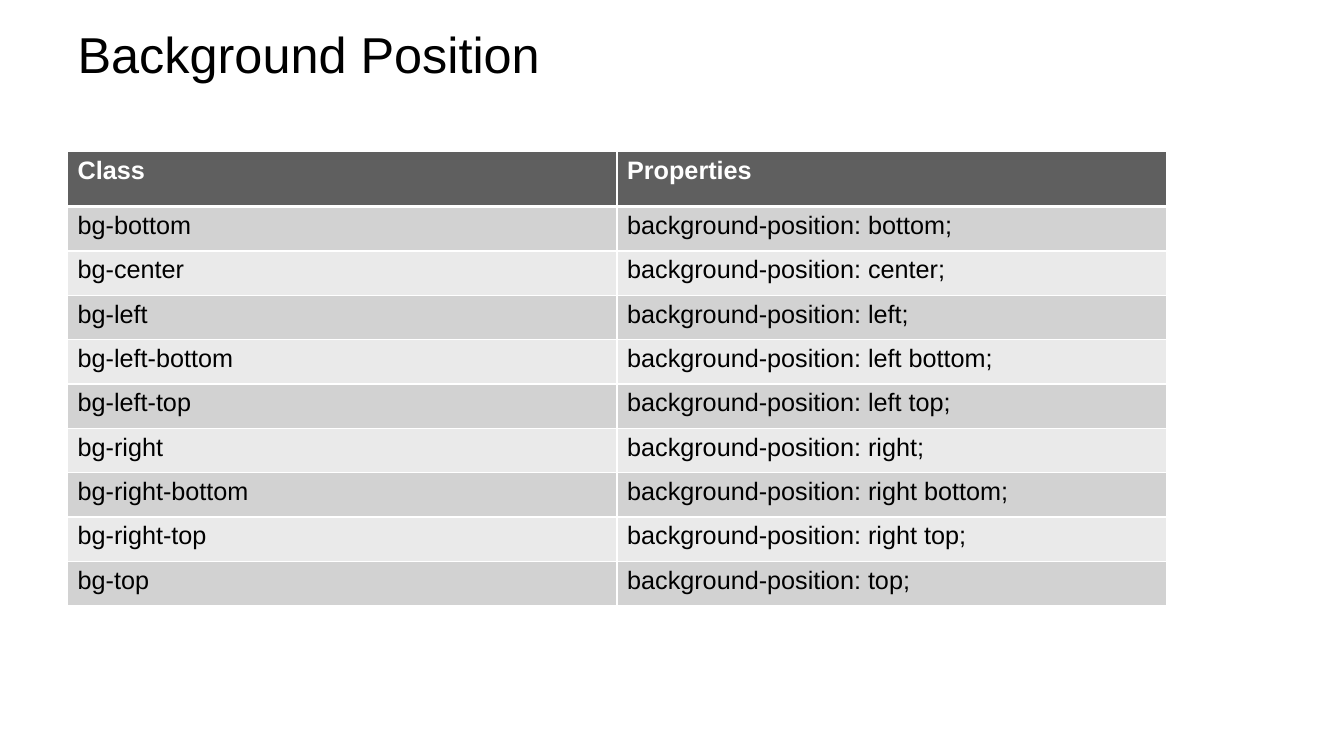
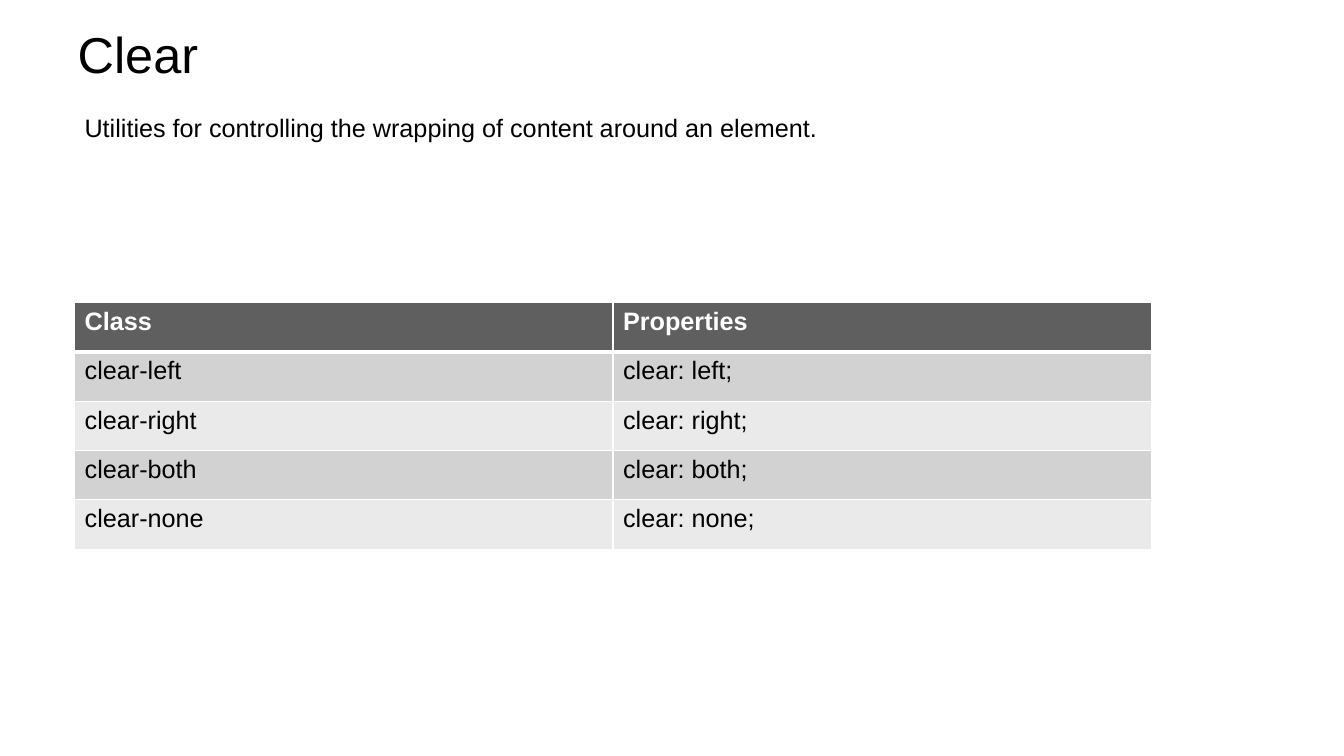
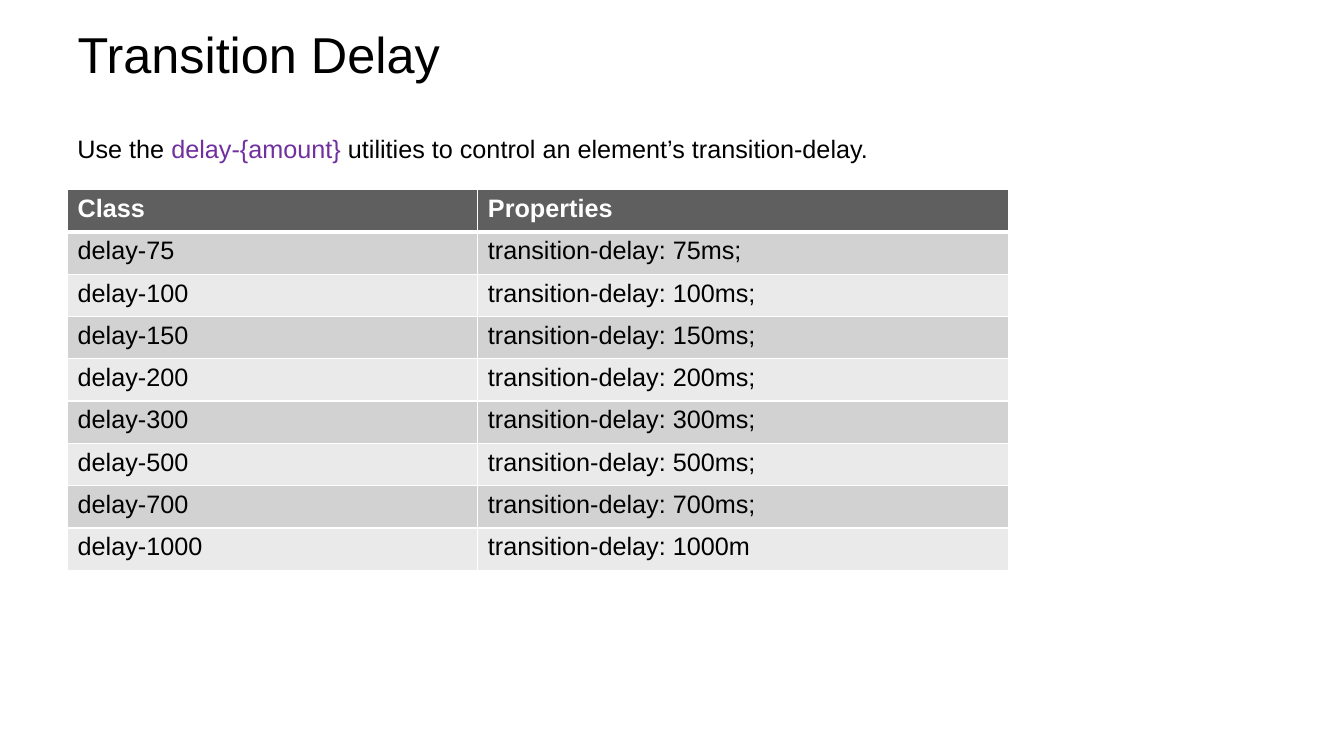
from lxml.etree import SubElement
from pptx import Presentation
from pptx.dml.color import RGBColor
from pptx.enum.text import MSO_ANCHOR, PP_ALIGN
from pptx.oxml.ns import qn
from pptx.util import Inches, Pt

COLORS = {
    "text": "000000",
    "header_text": "FFFFFF",
    "header": "5F5F5F",
    "odd_row": "D2D2D2",
    "even_row": "EAEAEA",
    "border": "FFFFFF",
    "code": "7030A0",
}
FONT = "Arial"
HEADINGS = ("Class", "Properties")

positions = ["bottom", "center", "left", "left-bottom", "left-top",
             "right", "right-bottom", "right-top", "top"]
clear_sides = ["left", "right", "both", "none"]
delays = [75, 100, 150, 200, 300, 500, 700]

topics = [
    {
        "title": "Background Position",
        "table_at": (0.67, 1.5),
        "columns": (5.45, 5.45),
        "header_height": 0.55,
        "row_height": 0.44,
        "rows": [(f"bg-{name}", f"background-position: {name.replace('-', ' ')};")
                 for name in positions],
    },
    {
        "title": "Clear",
        "table_at": (0.74, 3),
        "columns": (5.34, 5.34),
        "header_height": 0.49,
        "row_height": 0.49,
        "rows": [(f"clear-{side}", f"clear: {side};") for side in clear_sides],
        "intro_at": (0.74, 1.07, 10.09, 0.4),
        "intro": [
            ("Utilities for controlling the wrapping of content around an element.", "text"),
        ],
    },
    {
        "title": "Transition Delay",
        "table_at": (0.67, 1.88),
        "columns": (4.07, 5.26),
        "header_height": 0.42,
        "row_height": 0.42,
        "rows": [(f"delay-{delay}", f"transition-delay: {delay}ms;") for delay in delays]
        + [("delay-1000", "transition-delay: 1000m")],
        "intro_at": (0.67, 1.27, 9.74, 0.4),
        "intro": [
            ("Use the ", "text"),
            ("delay-{amount}", "code"),
            (" utilities to control an element’s transition-delay.", "text"),
        ],
    },
]


def add_run(para, text, color, size=18, bold=False):
    span = para.add_run()
    span.text = text
    span.font.name = FONT
    span.font.size = Pt(size)
    span.font.bold = bold
    span.font.color.rgb = RGBColor.from_string(COLORS[color])


def add_borders(cell, top, bottom):
    """Draw the four cell borders; top and bottom are widths in points."""
    properties = cell._tc.get_or_add_tcPr()
    for tag, width in (("a:lnL", 1), ("a:lnR", 1), ("a:lnT", top), ("a:lnB", bottom)):
        line = SubElement(properties, qn(tag), w=str(int(Pt(width))))
        fill = SubElement(line, qn("a:solidFill"))
        SubElement(fill, qn("a:srgbClr"), val=COLORS["border"])


deck = Presentation()
deck.slide_width = Inches(13.33)
deck.slide_height = Inches(7.5)
title_only = deck.slide_layouts[5]

for topic in topics:
    page = deck.slides.add_slide(title_only)

    title = page.shapes.title
    title.left, title.top = Inches(0.67), Inches(0.21)
    title.width, title.height = Inches(12), Inches(0.64)
    title.text_frame.vertical_anchor = MSO_ANCHOR.MIDDLE
    para = title.text_frame.paragraphs[0]
    para.alignment = PP_ALIGN.LEFT
    add_run(para, topic["title"], "text", size=36)

    rows = [HEADINGS] + topic["rows"]
    heights = [topic["header_height"]] + [topic["row_height"]] * len(topic["rows"])
    left, top = topic["table_at"]
    table = page.shapes.add_table(
        len(rows), len(HEADINGS), Inches(left), Inches(top),
        Inches(sum(topic["columns"])), Inches(sum(heights))).table
    for column, width in zip(table.columns, topic["columns"]):
        column.width = Inches(width)

    for row_index, (row, height) in enumerate(zip(rows, heights)):
        table.rows[row_index].height = Inches(height)
        is_header = row_index == 0
        if is_header:
            fill_color = "header"
        else:
            fill_color = "odd_row" if row_index % 2 else "even_row"
        for column_index, text in enumerate(row):
            cell = table.cell(row_index, column_index)
            add_borders(cell, top=3 if row_index == 1 else 1, bottom=3 if is_header else 1)
            cell.fill.solid()
            cell.fill.fore_color.rgb = RGBColor.from_string(COLORS[fill_color])
            add_run(cell.text_frame.paragraphs[0], text,
                    "header_text" if is_header else "text", bold=is_header)

    if "intro" in topic:
        box = page.shapes.add_textbox(*(Inches(length) for length in topic["intro_at"]))
        box.text_frame.word_wrap = True
        for text, color in topic["intro"]:
            add_run(box.text_frame.paragraphs[0], text, color)

deck.save("out.pptx")
